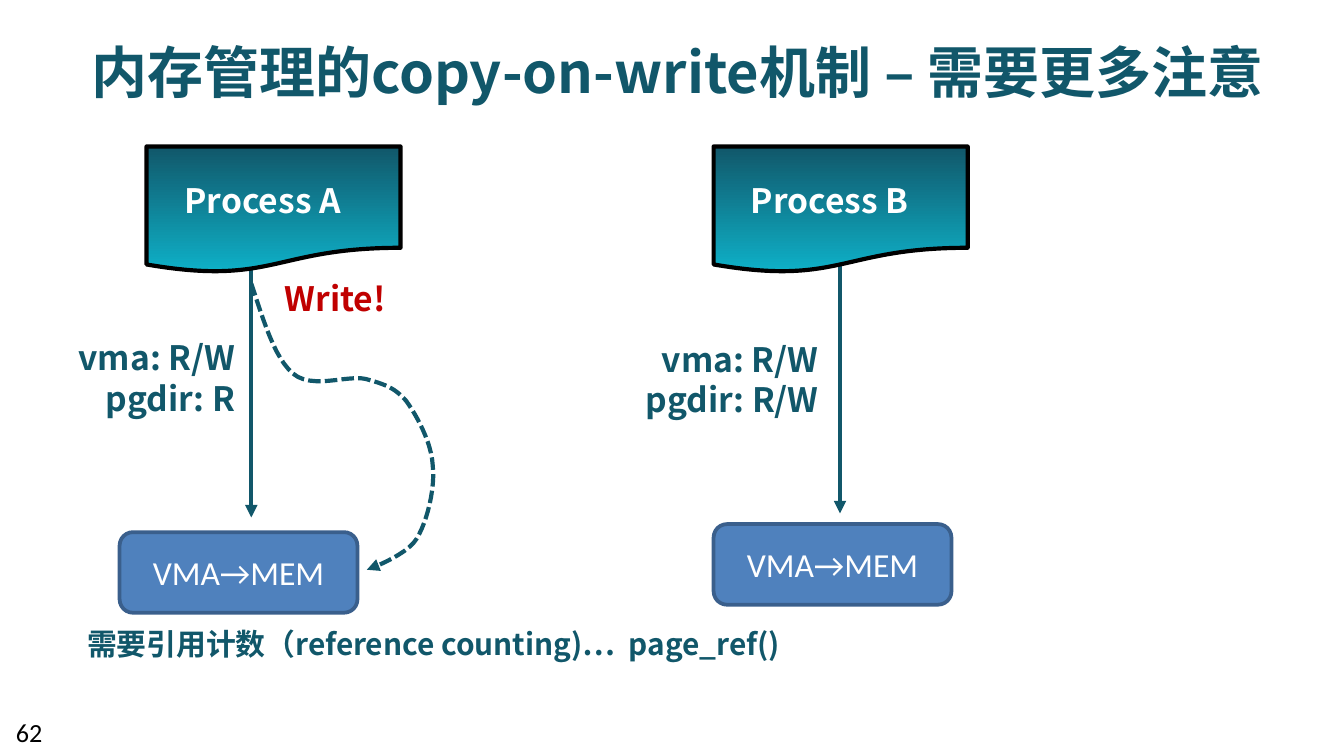
"""Build the slide on the copy-on-write mechanism of memory management."""
from dataclasses import dataclass

from lxml.etree import SubElement
from pptx import Presentation
from pptx.dml.color import RGBColor
from pptx.enum.dml import MSO_LINE as Dash
from pptx.enum.shapes import MSO_CONNECTOR as Connector, MSO_SHAPE as Preset
from pptx.enum.text import MSO_ANCHOR as Anchor, MSO_AUTO_SIZE as AutoSize, PP_ALIGN as Align
from pptx.oxml.ns import qn
from pptx.util import Pt

PX = 9144
FINE = 72
TEAL = RGBColor(0x11, 0x57, 0x6A)
CYAN = RGBColor(0x0E, 0xB1, 0xC8)
BLUE = RGBColor(0x4F, 0x81, 0xBD)
NAVY = RGBColor(0x3A, 0x5F, 0x8C)
RED = RGBColor(0xC0, 0x00, 0x00)
WHITE = RGBColor(0xFF, 0xFF, 0xFF)
BLACK = RGBColor(0x00, 0x00, 0x00)
CJK, PLAIN = "Noto Sans CJK SC", "Calibri"


@dataclass(frozen=True)
class Label:
    text: str
    box: tuple[int, int, int, int]
    align: Align = Align.LEFT
    size: int = 18
    color: RGBColor = TEAL
    font: str = CJK
    wrap: bool = False


@dataclass(frozen=True)
class Process:
    name: str
    left: int
    rights: Label
    arrow: tuple[int, int, int]
    memory: tuple[int, int]


PROCESSES = (
    Process("Process A", 109, Label("vma: R/W\npgdir: R", (39, 246, 146, 71), Align.RIGHT),
            (187, 200, 385), (89, 396)),
    Process("Process B", 531, Label("vma: R/W\npgdir: R/W", (457, 247, 162, 71), Align.RIGHT),
            (625, 197, 382), (531, 390)),
)
LABELS = (
    Label("内存管理的copy-on-write机制 – 需要更多注意", (39, 23, 930, 61), Align.CENTER, 30, wrap=True),
    Label("Write!", (197, 202, 100, 40), Align.RIGHT, color=RED),
    Label("需要引用计数（reference counting)…  page_ref()", (55, 461, 550, 37), size=16),
    Label("62", (2, 528, 48, 30), size=14, color=BLACK, font=PLAIN, wrap=True),
)
WRITE_PATH = (
    ((187, 211), (196, 238), (204, 266), (218, 278)),
    ((218, 278), (232, 290), (258, 279), (272, 282)),
    ((272, 282), (286, 286), (293, 288), (302, 298)),
    ((302, 298), (310, 309), (321, 329), (322, 346)),
    ((322, 346), (324, 363), (318, 388), (310, 401)),
    ((310, 401), (302, 414), (273, 424), (273, 424)),
)


def emu(*lengths: int) -> list[int]:
    return [length * PX for length in lengths]


def write(frame, label: Label) -> None:
    """Fill a text frame with the lines of a label."""
    frame.text = label.text
    formats = {"size": Pt(label.size), "bold": label.font == CJK, "name": label.font}
    for para in frame.paragraphs:
        para.alignment = label.align
        if label.font == CJK:
            para.line_spacing = Pt(round(label.size * 1.2, 1))
        for span in para.runs:
            for key, value in formats.items():
                setattr(span.font, key, value)
            span.font.color.rgb = label.color
            SubElement(span.font._element, qn("a:ea"), typeface=label.font)


def add_label(page, label: Label) -> None:
    """Place a text box."""
    frame = page.shapes.add_textbox(*emu(*label.box)).text_frame
    write(frame, label)
    frame.word_wrap = label.wrap
    if label.font == CJK:
        frame.auto_size = AutoSize.SHAPE_TO_FIT_TEXT


def add_outlined(page, preset: Preset, box: tuple, color: RGBColor, width: float):
    """Place a preset shape with a coloured outline."""
    shape = page.shapes.add_shape(preset, *emu(*box))
    shape.shadow.inherit = False
    shape.line.color.rgb, shape.line.width = color, Pt(width)
    return shape


def style_arrow(shape) -> None:
    """Give a line the teal stroke and a triangle at its end."""
    shape.line.color.rgb, shape.line.width = TEAL, Pt(2.25)
    SubElement(shape.line._get_or_add_ln(), qn("a:tailEnd"), type="triangle")


def add_process(page, process: Process) -> None:
    """Draw a process, its arrow, its access rights and its memory."""
    x, top, bottom = process.arrow
    arrow = page.shapes.add_connector(Connector.STRAIGHT, *emu(x, top, x, bottom))
    style_arrow(arrow)
    SubElement(arrow._element.spPr, qn("a:effectLst"))

    document = add_outlined(page, Preset.FLOWCHART_DOCUMENT, (process.left, 109, 189, 94), BLACK, 2.25)
    document.fill.gradient()
    document.fill.gradient_angle = 90
    for stop, color, position in zip(document.fill.gradient_stops, (CYAN, TEAL), (0, 1)):
        stop.color.rgb, stop.position = color, position
    add_label(page, Label(process.name, (process.left + 15, 129, 143, 40), Align.CENTER, color=WHITE))
    add_label(page, process.rights)

    memory = add_outlined(page, Preset.ROUNDED_RECTANGLE, (*process.memory, 177, 60), NAVY, 2)
    memory.fill.solid()
    memory.fill.fore_color.rgb = BLUE
    memory.text_frame.vertical_anchor = Anchor.MIDDLE
    write(memory.text_frame, Label("VMA→MEM", (), Align.CENTER, color=WHITE, font=PLAIN))


def curve_point(curve: tuple, t: float) -> tuple[float, ...]:
    """Return the point of a cubic curve at t, in fine units."""
    weights = ((1 - t) ** 3, 3 * t * (1 - t) ** 2, 3 * t * t * (1 - t), t ** 3)
    return tuple(FINE * sum(w * v for w, v in zip(weights, axis)) for axis in zip(*curve))


def add_write_arrow(page, steps: int = 12) -> None:
    """Draw the dashed curve of the write."""
    points = [curve_point(curve, step / steps) for curve in WRITE_PATH for step in range(1, steps + 1)]
    builder = page.shapes.build_freeform(*curve_point(WRITE_PATH[0], 0), scale=PX / FINE)
    builder.add_line_segments(points, close=False)
    path = builder.convert_to_shape()
    path.shadow.inherit = False
    path.fill.background()
    path.line.dash_style = Dash.SQUARE_DOT
    style_arrow(path)


def main() -> None:
    """Build and save the deck."""
    deck = Presentation()
    deck.slide_width = 1000 * PX
    deck.slide_height = deck.slide_width * 9 // 16
    page = deck.slides.add_slide(deck.slide_layouts[6])
    for process in PROCESSES:
        add_process(page, process)
    for label in LABELS:
        add_label(page, label)
    add_write_arrow(page)
    deck.save("out.pptx")


if __name__ == "__main__":
    main()
